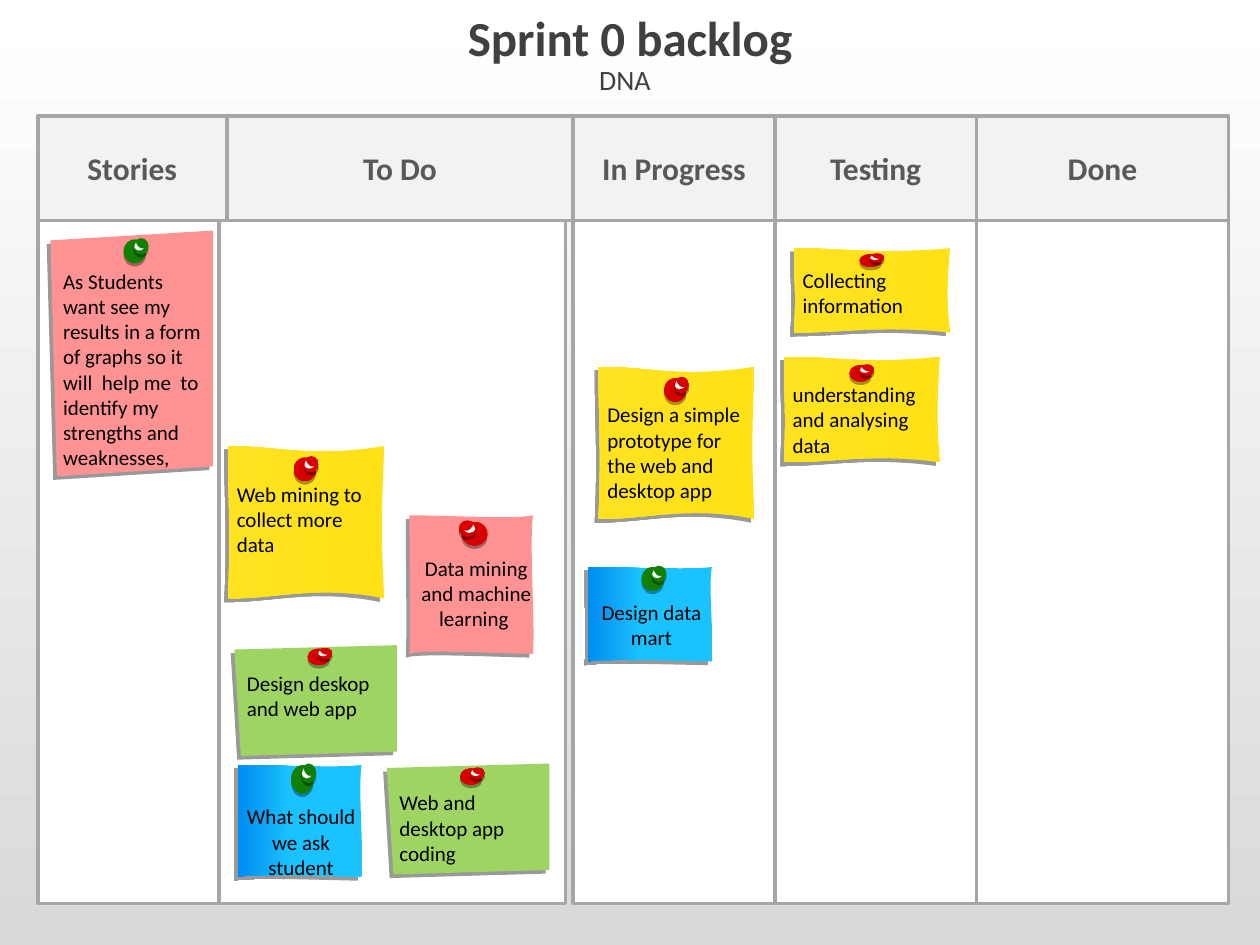
from dataclasses import dataclass

import lxml.etree
import pptx
import pptx.dml.color
import pptx.enum.shapes
import pptx.enum.text
import pptx.oxml.ns
import pptx.util

Inches = pptx.util.Inches
Pt = pptx.util.Pt
qn = pptx.oxml.ns.qn
ALIGN = pptx.enum.text.PP_ALIGN
ANCHOR = pptx.enum.text.MSO_ANCHOR
SHAPE = pptx.enum.shapes.MSO_SHAPE
FIT_TEXT = pptx.enum.text.MSO_AUTO_SIZE.SHAPE_TO_FIT_TEXT


class Theme:
    font = "Calibri"
    title_size, subtitle_size, header_size, note_size = 28, 16, 18, 12
    title, header_text, note_text = "404040", "595959", "000000"
    header, lane, border, glint = "F2F2F2", "FFFFFF", "A6A6A6", "FFFFFF"
    pink, green = "FF9393", "9ED462"
    yellow = ((0, "FFE115"), (100, "FFE321"), 180)
    blue = ((58, "1AC2FF"), (100, "008CF0"), 180)
    red_pin = ((0, "DA0000"), (100, "D60000"), 270)
    green_pin = "118002"
    background = ((0, "FFFFFF"), (100, "D9D9D9"), 270)
    note_shadow = (40, 3, 135)
    pin_shadow = (35, 1.8, 90)


@dataclass
class Outline:
    points: tuple
    curved: bool = True
    pin_left: float = 0
    text_left: float = 0
    text_width: float = 0
    align: int = ALIGN.LEFT


CURLED = Outline((
    (0, 0), (0.33, 0), (0.53, 0.08), (1, 0),
    (0.98, 0.5), (0.98, 0.6), (1, 1),
    (0.57, 0.91), (0.33, 1), (0, 1),
    (0.02, 0.55), (0, 0.34), (0, 0),
), pin_left=0.52, text_left=0.07, text_width=1.1)
WAVY = Outline((
    (0, 0), (0.33, 0), (0.82, 0.03), (0.98, 0),
    (0.95, 0.22), (1, 0.8), (0.98, 1),
    (0.54, 0.99), (0.1, 0.97), (0, 1),
    (0.01, 0.83), (0, 0.34), (0, 0),
), pin_left=0.42, text_left=0.03, text_width=0.94, align=ALIGN.CENTER)
SLANTED = Outline(((1, 0), (1, 0.96), (0.04, 1), (0, 0.04)), curved=False,
                  pin_left=0.58, text_left=0.1, text_width=1.11)
GLINT = Outline((
    (0.5, 0.17), (0.47, 0.1), (0.5, 0.25), (0.6, 0.35),
    (0.7, 0.45), (0.8, 0.4), (0.8, 0.4),
    (0.77, 0.45), (0.65, 0.55), (0.5, 0.45),
    (0.35, 0.35), (0.5, 0.2), (0.5, 0.17),
))


@dataclass
class Note:
    text: str
    outline: Outline
    fill: object
    box: tuple
    pin_fill: object
    pin_top: float
    pin_height: float
    text_top: float
    text_height: float
    grouped: bool = True
    mirrored: bool = False


NOTES = [
    Note("As Students want see my results in a form of graphs so it will  help me  to "
         "identify my strengths and weaknesses,", SLANTED, Theme.pink,
         (0.4, 1.83, 1.29, 1.95), Theme.green_pin, 0.06, 0.2, 0.3, 1.6, grouped=False),
    Note("Collecting information", CURLED, Theme.yellow,
         (6.3, 1.97, 1.24, 0.67), Theme.red_pin, 0.04, 0.11, 0.15, 0.4),
    Note("understanding and analysing data", CURLED, Theme.yellow,
         (6.22, 2.83, 1.24, 0.84), Theme.red_pin, 0.06, 0.14, 0.2, 0.6),
    Note("Design a simple prototype for the web and desktop app", CURLED, Theme.yellow,
         (4.75, 2.91, 1.24, 1.21), Theme.red_pin, 0.08, 0.2, 0.28, 0.8),
    Note("Data mining and machine learning ", WAVY, Theme.pink,
         (3.25, 4.09, 1, 1.1), Theme.red_pin, 0.04, 0.2, 0.32, 0.6,
         grouped=False, mirrored=True),
    Note("Design data mart", WAVY, Theme.blue,
         (4.67, 4.5, 1, 0.75), Theme.green_pin, -0.01, 0.2, 0.26, 0.4),
    Note("Design deskop and web app", SLANTED, Theme.green,
         (1.86, 5.12, 1.29, 0.88), Theme.red_pin, 0.02, 0.14, 0.2, 0.4),
    Note("Web and desktop app coding", SLANTED, Theme.green,
         (3.07, 6.06, 1.29, 0.88), Theme.red_pin, 0.03, 0.14, 0.21, 0.6),
    Note("What should we ask student", WAVY, Theme.blue,
         (1.89, 6.07, 1, 0.89), Theme.green_pin, -0.01, 0.24, 0.31, 0.6),
    Note("Web mining to collect more data", CURLED, Theme.yellow,
         (1.81, 3.54, 1.24, 1.21), Theme.red_pin, 0.08, 0.2, 0.28, 0.6),
]


def rgb(value):
    return pptx.dml.color.RGBColor.from_string(value)


def set_fill(fill, paint):
    if isinstance(paint, str):
        fill.solid()
        fill.fore_color.rgb = rgb(paint)
        return
    *stops, angle = paint
    fill.gradient()
    fill.gradient_angle = angle
    for stop, (position, color) in zip(fill.gradient_stops, stops):
        stop.position = position / 100
        stop.color.rgb = rgb(color)


def style_shape(shape, paint, shadow=None):
    set_fill(shape.fill, paint)
    shape.line.fill.background()
    shape.shadow.inherit = False
    if shadow:
        alpha, distance, direction = shadow
        effects = shape._element.spPr.find(qn("a:effectLst"))
        outer = lxml.etree.SubElement(effects, qn("a:outerShdw"), blurRad="0",
                                      dist=str(Pt(distance)), dir=str(direction * 60000),
                                      algn="ctr", rotWithShape="0")
        color = lxml.etree.SubElement(outer, qn("a:srgbClr"), val="000000")
        lxml.etree.SubElement(color, qn("a:alpha"), val=str(alpha * 1000))


def set_text(shape, text, size, color, bold=False, align=ALIGN.CENTER):
    shape.text_frame.text = text
    paragraph = shape.text_frame.paragraphs[0]
    paragraph.alignment = align
    font = paragraph.runs[0].font
    font.name, font.size, font.bold = Theme.font, Pt(size), bold
    font.color.rgb = rgb(color)


def add_text(shapes, box, text, size, color, margin=0, wrap=True, **style):
    text_box = shapes.add_textbox(*map(Inches, box))
    frame = text_box.text_frame
    frame.word_wrap = wrap
    frame.margin_left = frame.margin_right = Inches(margin)
    frame.margin_top = frame.margin_bottom = Inches(margin / 2)
    set_text(text_box, text, size, color, **style)
    return text_box


def bend_segments(shape):
    segments = list(shape._element.iter(qn("a:lnTo")))
    for first, second, end in zip(segments[::3], segments[1::3], segments[2::3]):
        curve = lxml.etree.Element(qn("a:cubicBezTo"))
        first.addprevious(curve)
        for segment in (first, second, end):
            curve.append(segment[0])
            segment.getparent().remove(segment)


def add_outline(shapes, box, outline, paint, shadow=None, mirrored=False):
    left, top, width, height = box
    points = [(Inches(left + width * (1 - x if mirrored else x)), Inches(top + height * y))
              for x, y in outline.points]
    builder = shapes.build_freeform(*points[0])
    builder.add_line_segments(points[1:], close=True)
    shape = builder.convert_to_shape()
    if outline.curved:
        bend_segments(shape)
    style_shape(shape, paint, shadow)


def add_pin(shapes, box, paint, mirrored):
    left, top, width, height = box
    for x, y, w, h in ((0, 0.05, 0.9, 0.95), (0.4, 0, 0.6, 0.65)):
        x = 1 - x - w if mirrored else x
        disc = shapes.add_shape(SHAPE.OVAL, Inches(left + x * width), Inches(top + y * height),
                                Inches(w * width), Inches(h * height))
        style_shape(disc, paint, Theme.pin_shadow)
    add_outline(shapes, box, GLINT, Theme.glint, mirrored=mirrored)


def add_note(slide, note):
    shapes = slide.shapes.add_group_shape().shapes if note.grouped else slide.shapes
    left, top, width, height = note.box
    outline = note.outline
    add_outline(shapes, note.box, outline, note.fill, Theme.note_shadow)
    nudge = 0.03 if note.mirrored else 0
    add_text(shapes, (left + outline.text_left + nudge, top + note.text_top,
                      outline.text_width, note.text_height),
             note.text, Theme.note_size, Theme.note_text, align=outline.align)
    pin_shapes = shapes if note.grouped else slide.shapes.add_group_shape().shapes
    pin_width = 0.23 if note.mirrored else 0.2
    add_pin(pin_shapes, (left + outline.pin_left - nudge, top + note.pin_top,
                         pin_width, note.pin_height), note.pin_fill, note.mirrored)


def add_panel(slide, box, paint):
    panel = slide.shapes.add_shape(SHAPE.RECTANGLE, *map(Inches, box))
    style_shape(panel, paint)
    panel.line.color.rgb = rgb(Theme.border)
    panel.line.width = Pt(2)
    return panel


def add_board(slide, box, columns, header_height=0.83):
    left, top, width, height = box
    for name, column_width, lane_shift in columns:
        add_panel(slide, (left + lane_shift, top + header_height, column_width,
                          height - header_height), Theme.lane)
        header = add_panel(slide, (left, top, column_width, header_height), Theme.header)
        header.text_frame.vertical_anchor = ANCHOR.MIDDLE
        set_text(header, name, Theme.header_size, Theme.header_text, bold=True)
        left += column_width


def add_heading(slide, box):
    left, top, width, height = box
    title = add_text(slide.shapes, (left, top, width, 0.5), "Sprint 0 backlog",
                     Theme.title_size, Theme.title, bold=True)
    title.text_frame.vertical_anchor = ANCHOR.MIDDLE
    subtitle = add_text(slide.shapes, (left + 2.95, top + 0.42, 0.6, height - 0.42), "DNA",
                        Theme.subtitle_size, Theme.title, margin=0.08, wrap=False)
    subtitle.text_frame.auto_size = FIT_TEXT


def main():
    presentation = pptx.Presentation()
    presentation.slide_width, presentation.slide_height = Inches(10), Inches(7.5)
    slide = presentation.slides.add_slide(presentation.slide_layouts[6])
    set_fill(slide.background.fill, Theme.background)
    add_heading(slide, (1.71, 0.04, 6.58, 0.79))
    add_board(slide, (0.3, 0.92, 9.45, 6.25), [
        ("Stories", 1.5, 0), ("To Do", 2.75, -0.06), ("In Progress", 1.6, 0),
        ("Testing", 1.6, 0), ("Done", 2, 0)])
    for note in NOTES:
        add_note(slide, note)
    presentation.save("out.pptx")


if __name__ == "__main__":
    main()
